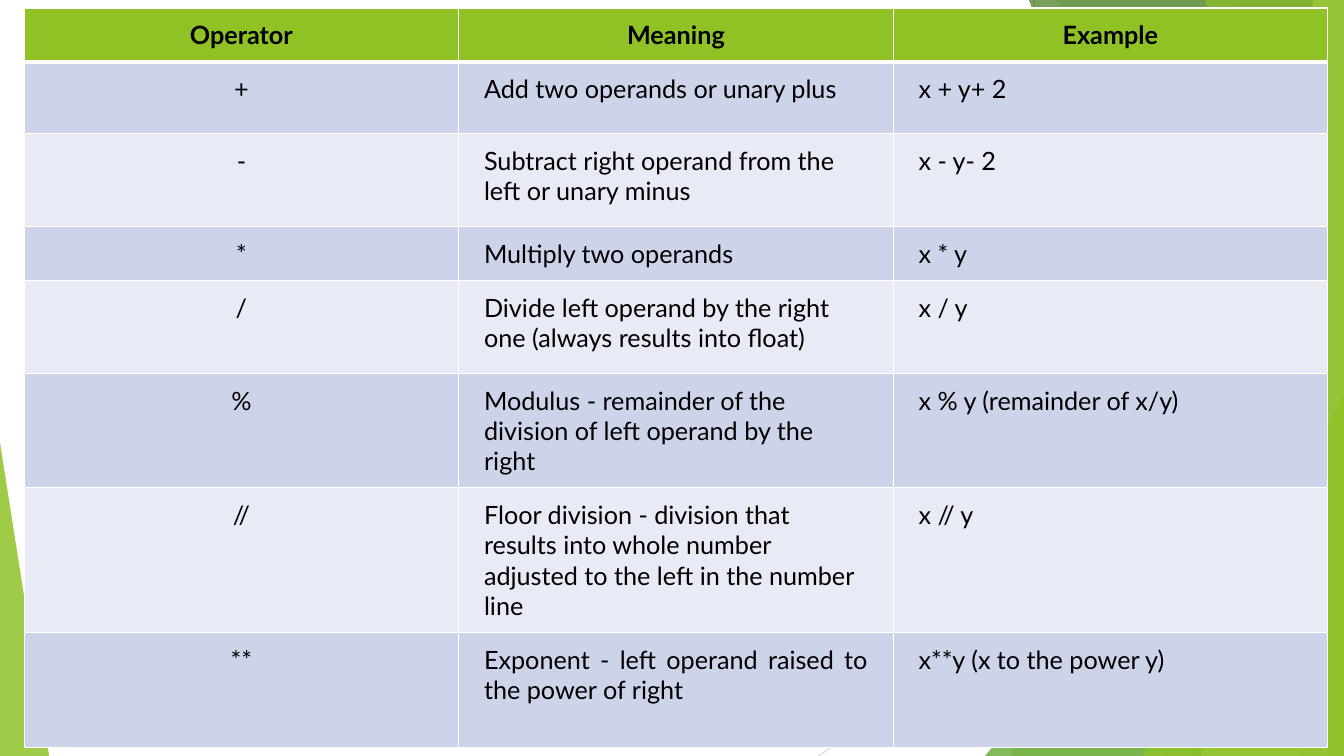
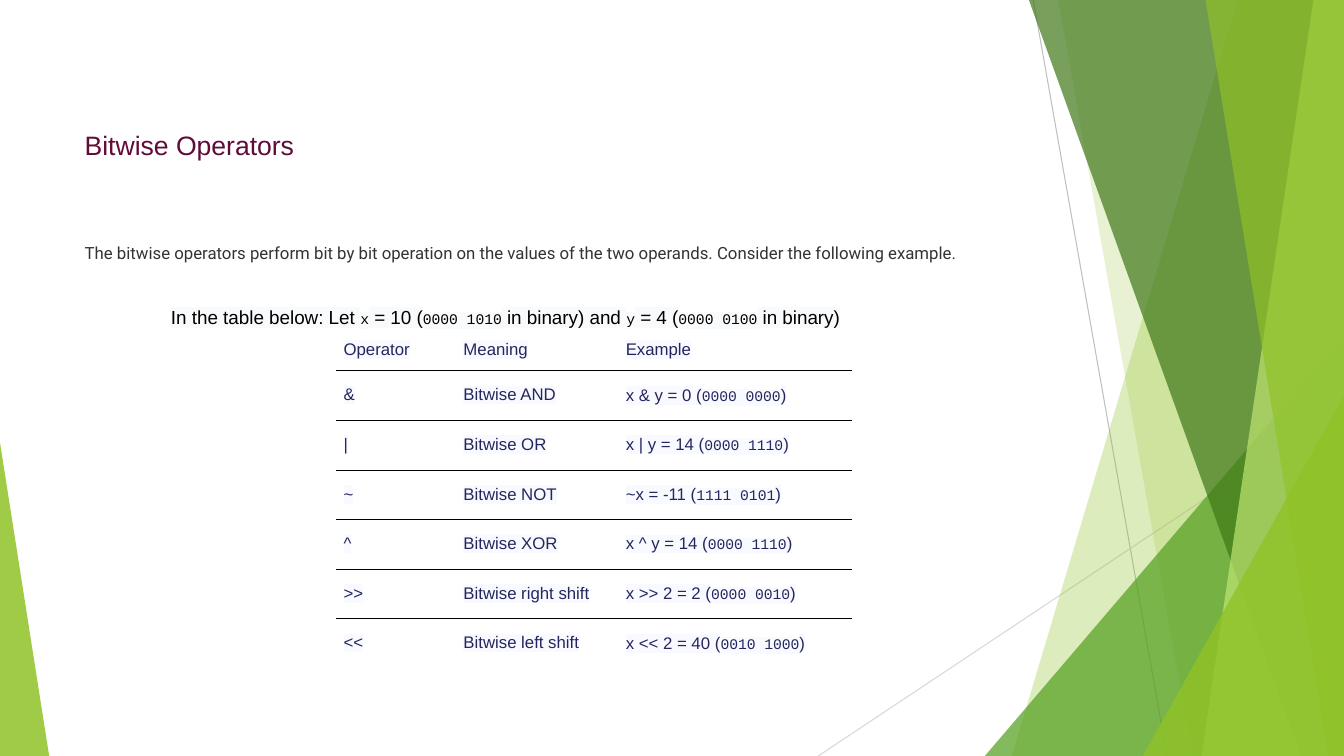
from dataclasses import dataclass, replace
from lxml import etree
from pptx import Presentation
from pptx.dml.color import RGBColor
from pptx.enum.shapes import MSO_CONNECTOR as Connector, MSO_SHAPE as Preset
from pptx.enum.text import MSO_ANCHOR as Anchor, MSO_AUTO_SIZE as AutoSize, PP_ALIGN as Align
from pptx.oxml.ns import qn
from pptx.util import Cm, Pt


@dataclass(frozen=True)
class TextStyle:
    font: str
    size: float
    color: str
    bold: bool = False
    highlight: str = ""


@dataclass(frozen=True)
class Theme:
    lime: str = "90C226"
    green: str = "54A021"
    forest: str = "3F7818"
    pale: str = "BFE471"
    white: str = "FFFFFF"
    black: str = "000000"
    stripes: tuple = ("CDD4EA", "E8EBF5")
    code_font: str = "Courier New"
    code_size: float = 10.5
    title: TextStyle = TextStyle("Arial", 19, "610B38")
    body: TextStyle = TextStyle("Roboto", 12, "333333")
    caption: TextStyle = TextStyle("Arial", 13.5, "000000", highlight="F9FAFC")
    grid: TextStyle = TextStyle("Lato", 18, "000000")
    bitwise: TextStyle = TextStyle("Arial", 12, "25265E", highlight="F8FAFF")


THEME = Theme()
WIDTH, HEIGHT = 33.87, 19.05
NO_TABLE_STYLE = "{2D5ABB26-0587-4C30-8999-92F81FD0307C}"

ARITHMETIC = [
    ("Operator", "Meaning", "Example"),
    ("+", "Add two operands or unary plus", "x + y+ 2"),
    ("-", "Subtract right operand from the left or unary minus", "x - y- 2"),
    ("*", "Multiply two operands", "x * y"),
    ("/", "Divide left operand by the right one (always results into float)", "x / y"),
    ("%", "Modulus - remainder of the division of left operand by the right",
     "x % y (remainder of x/y)"),
    ("//", "Floor division - division that results into whole number adjusted "
     "to the left in the number line", "x // y"),
    ("**", "Exponent - left operand raised to the power of right",
     "x**y (x to the power y)"),
]
ARITHMETIC_ROWS = [1.35, 1.8, 2.34, 1.35, 2.34, 2.82, 3.53, 2.9]

TITLE = "Bitwise Operators"
INTRO = ("The bitwise operators perform bit by bit operation on the values of the "
         "two operands. Consider the following example.")
CAPTION = ("In the table below: Let `x` = 10 (`0000 1010` in binary) and "
           "`y` = 4 (`0000 0100` in binary)")
BITWISE = [
    ("Operator", "Meaning", "Example"),
    ("&", "Bitwise AND", "x & y = 0 (`0000 0000`)"),
    ("|", "Bitwise OR", "x | y = 14 (`0000 1110`)"),
    ("~", "Bitwise NOT", "~x = -11 (`1111 0101`)"),
    ("^", "Bitwise XOR", "x ^ y = 14 (`0000 1110`)"),
    (">>", "Bitwise right shift", "x >> 2 = 2 (`0000 0010`)"),
    ("<<", "Bitwise left shift", "x << 2 = 40 (`0010 1000`)"),
]
BITWISE_COLUMNS = [3.02, 4.09, 5.89]
BITWISE_ROWS = [1.14] + [1.25] * 6

RAYS = [
    ((26.04, 0), (29.41, HEIGHT), "BFBFBF"),
    ((WIDTH, 10.24), (20.62, HEIGHT), "D8D8D8"),
]
FACETS = [
    ("band", (31.19, 25.5), THEME.lime, 30),
    ("band", (26.67, 30.05), THEME.lime, 20),
    ("peak", (24.82, 8.46, 9.05, 1), THEME.green, 72),
    ("band", (25.93, 32.79), THEME.forest, 70),
    ("band", (33.1, 30.28), THEME.pale, 70),
    ("band", (30.38, 33.48), THEME.lime, 65),
    ("peak", (28.8, 9.98, 5.07, 1), THEME.lime, 80),
    ("peak", (0, 11.15, 1.24, 0), THEME.lime, 85),
]


def rgb(color):
    return RGBColor.from_string(color)


def add_band(shapes, top_x, bottom_x):
    corners = [(WIDTH, 0), (WIDTH, HEIGHT), (bottom_x, HEIGHT)]
    outline = shapes.build_freeform(Cm(top_x), 0)
    outline.add_line_segments([(Cm(x), Cm(y)) for x, y in corners], close=True)
    return outline.convert_to_shape()


def add_peak(shapes, left, top, width, apex):
    peak = shapes.add_shape(Preset.ISOSCELES_TRIANGLE, Cm(left), Cm(top),
                            Cm(width), Cm(HEIGHT - top))
    peak.adjustments[0] = apex
    return peak


def decorate_master(deck, page):
    group = page.shapes.add_group_shape()
    for start, end, color in RAYS:
        ray = group.shapes.add_connector(Connector.STRAIGHT, *map(Cm, start + end))
        ray.line.color.rgb = rgb(color)
        ray.line.width = Pt(0.75)
        etree.SubElement(ray.element.spPr, qn("a:effectLst"))
    builders = {"band": add_band, "peak": add_peak}
    for kind, geometry, color, opacity in FACETS:
        facet = builders[kind](group.shapes, *geometry)
        facet.shadow.inherit = False
        facet.line.fill.background()
        facet.fill.solid()
        facet.fill.fore_color.rgb = rgb(color)
        paint = facet.element.spPr.find(qn("a:solidFill"))[0]
        etree.SubElement(paint, qn("a:alpha"), val=str(opacity * 1000))
    deck.slide_master.shapes.element.insert(2, group.element)


def style_font(font, style):
    font.name = style.font
    font.size = Pt(style.size)
    font.bold = style.bold
    font.color.rgb = rgb(style.color)


def highlight(span, color):
    properties = span._r.get_or_add_rPr()
    marker = etree.Element(qn("a:highlight"))
    etree.SubElement(marker, qn("a:srgbClr"), val=color)
    properties.find(qn("a:solidFill")).addnext(marker)


def write(frame, text, style, align=Align.LEFT, spacing=1.0, before=0, after=0):
    para = frame.paragraphs[0]
    para.alignment = align
    para.line_spacing = spacing
    para.space_before, para.space_after = Pt(before), Pt(after)
    if not style.highlight:
        para.text = text
        style_font(para.font, style)
        return para
    code = replace(style, font=THEME.code_font, size=THEME.code_size)
    for index, part in enumerate(text.split("`")):
        span = para.add_run()
        span.text = part
        style_font(span.font, code if index % 2 else style)
        highlight(span, style.highlight)
    return para


def place(shape, left, top, width, height):
    shape.left, shape.top = Cm(left), Cm(top)
    shape.width, shape.height = Cm(width), Cm(height)


def add_grid(page, left, top, columns, rows):
    frame = page.shapes.add_table(len(rows), len(columns), Cm(left), Cm(top),
                                  Cm(sum(columns)), Cm(sum(rows)))
    table = frame.table
    table._tbl.tblPr.find(qn("a:tableStyleId")).text = NO_TABLE_STYLE
    for column, width in zip(table.columns, columns):
        column.width = Cm(width)
    for row, height in zip(table.rows, rows):
        row.height = Cm(height)
    return table


def set_margins(cell, side, end):
    cell.margin_left = cell.margin_right = Cm(side)
    cell.margin_top = cell.margin_bottom = Cm(end)


def set_borders(cell, color, **widths):
    properties = cell._tc.get_or_add_tcPr()
    for edge in "LRTB":
        if edge in widths:
            line = etree.SubElement(properties, qn(f"a:ln{edge}"), w=str(Pt(widths[edge])))
            fill = etree.SubElement(line, qn("a:solidFill"))
            etree.SubElement(fill, qn("a:srgbClr"), val=color)


def fill_arithmetic(page):
    table = add_grid(page, 0.61, 0.2, [10.95] * 3, ARITHMETIC_ROWS)
    last = len(ARITHMETIC) - 1
    for r, row in enumerate(ARITHMETIC):
        for c, text in enumerate(row):
            cell = table.cell(r, c)
            header = r == 0
            set_margins(cell, 0.64, 0.3)
            set_borders(cell, THEME.white, L=1, R=1, T=3 if r == 1 else 1,
                        B=3 if header else 1)
            cell.fill.solid()
            cell.fill.fore_color.rgb = rgb(THEME.lime if header else THEME.stripes[(r - 1) % 2])
            if header or c == 0:
                align = Align.CENTER
            else:
                align = Align.JUSTIFY if r == last else Align.LEFT
            write(cell.text_frame, text, replace(THEME.grid, bold=header), align)


def fill_bitwise(page):
    table = add_grid(page, 8.46, 8.2, BITWISE_COLUMNS, BITWISE_ROWS)
    last = len(BITWISE) - 1
    for r, row in enumerate(BITWISE):
        for c, text in enumerate(row):
            cell = table.cell(r, c)
            set_margins(cell, 0.2, 0.3)
            if r < last:
                set_borders(cell, THEME.black, B=0.75)
            cell.fill.background()
            write(cell.text_frame, text, THEME.bitwise, spacing=1.15)


def add_heading(page):
    title, body = page.shapes.title, page.placeholders[1]
    place(title, 1.88, 1.7, 23.88, 3.66)
    place(body, 1.88, 5.99, 23.88, 10.77)
    for holder in (title, body):
        holder.text_frame.auto_size = AutoSize.NONE
    title.text_frame.vertical_anchor = Anchor.MIDDLE
    write(title.text_frame, TITLE, THEME.title, Align.JUSTIFY, 1.3, 18, 4)
    para = write(body.text_frame, INTRO, THEME.body, before=10)
    properties = para._p.get_or_add_pPr()
    properties.set("marL", "0")
    properties.set("indent", "0")
    properties.find(qn("a:spcAft")).addnext(etree.Element(qn("a:buNone")))


def add_caption(page):
    box = page.shapes.add_textbox(Cm(4.06), Cm(6.35), Cm(21.69), Cm(2.87))
    frame = box.text_frame
    frame.word_wrap = True
    frame.vertical_anchor = Anchor.MIDDLE
    set_margins(frame, 0.25, 0.25)
    write(frame, CAPTION, THEME.caption, spacing=1.67, after=12)


def main():
    deck = Presentation()
    deck.slide_width, deck.slide_height = Cm(WIDTH), Cm(HEIGHT)
    arithmetic = deck.slides.add_slide(deck.slide_layouts[6])
    decorate_master(deck, arithmetic)
    fill_arithmetic(arithmetic)
    bitwise = deck.slides.add_slide(deck.slide_layouts[1])
    add_heading(bitwise)
    fill_bitwise(bitwise)
    add_caption(bitwise)
    deck.save("out.pptx")


if __name__ == "__main__":
    main()
